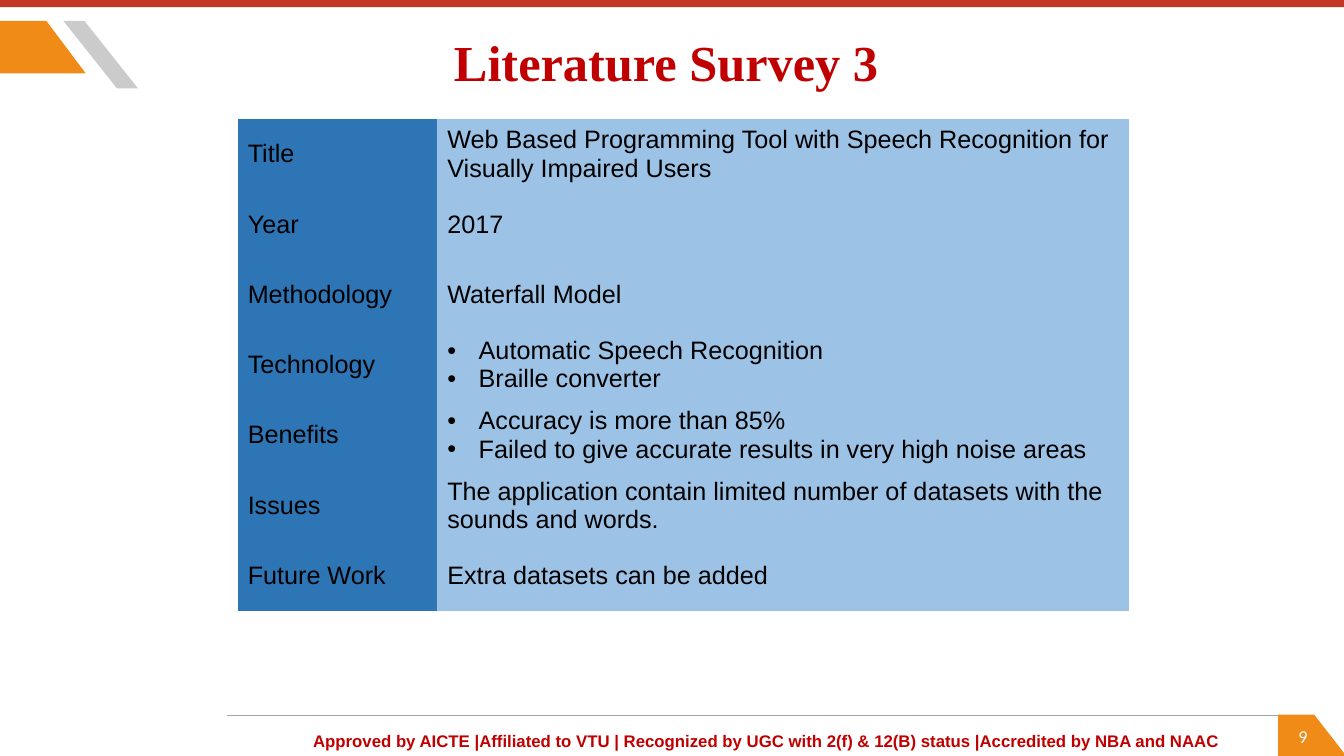
from dataclasses import dataclass

from lxml import etree
from pptx import Presentation
from pptx.dml.color import RGBColor
from pptx.enum.shapes import MSO_CONNECTOR, MSO_SHAPE
from pptx.enum.text import MSO_ANCHOR, MSO_AUTO_SIZE, PP_ALIGN
from pptx.oxml.ns import qn
from pptx.util import Cm, Pt

CENTER, LEFT = PP_ALIGN.CENTER, PP_ALIGN.LEFT
TOP, MIDDLE = MSO_ANCHOR.TOP, MSO_ANCHOR.MIDDLE
NO_AUTOFIT = MSO_AUTO_SIZE.NONE
RECTANGLE, STRAIGHT = MSO_SHAPE.RECTANGLE, MSO_CONNECTOR.STRAIGHT
PLAIN_TABLE_STYLE = "{2D5ABB26-0587-4C30-8999-92F81FD0307C}"

# Content: a list in the second column becomes bullets
TITLE = "Literature Survey 3"
SURVEY = [
    ("Title", "Web Based Programming Tool with Speech Recognition for Visually Impaired Users"),
    ("Year", "2017"),
    ("Methodology", "Waterfall Model"),
    ("Technology", ["Automatic Speech Recognition", "Braille converter"]),
    ("Benefits", ["Accuracy is more than 85%",
                  "Failed to give accurate results in very high noise areas"]),
    ("Issues", "The application contain limited number of datasets with the sounds and words."),
    ("Future Work", "Extra datasets can be added"),
]
FOOTER = ("Approved by AICTE |Affiliated to VTU | Recognized by UGC with 2(f) & 12(B) status "
          "|Accredited by NBA and NAAC")
PAGE = "9"


@dataclass(frozen=True)
class Theme:
    bar: str = "C43727"
    accent: str = "F18B17"
    stripe: str = "7F7F7F"
    rule: str = "A5A5A5"
    label_fill: str = "2E75B5"
    value_fill: str = "9CC2E5"
    heading: tuple = ("Times New Roman", 36, True, "C00000")
    body: tuple = ("Arial", 18, False, "000000")
    footer: tuple = ("Arial", 12, True, "C00000")
    page: tuple = ("Calibri", 13, False, "FFFFFF")


THEME = Theme()

# Layout in centimetres
SLIDE_W, SLIDE_H = 33.87, 19.05
BAR_H = 0.18
TITLE_BOX = (5.13, 0.66, 23.32, 1.8)
FOOTER_BOX = (6.91, 18.29, 24.82, 0.76)
PAGE_BOX = (32.28, 18.14, 1.12, 1.02)
TABLE_LEFT, TABLE_TOP = 5.99, 3.0
COLUMNS = (5.03, 17.42)
ROW_H = 1.77
BULLET_INDENT = 0.79
RULE_LEFT, RULE_RIGHT, RULE_Y = 5.72, 32.21, 18.03
ORNAMENTS = [  # points, colour, opacity in percent
    ([(1.17, 0.53), (0, 0.53), (0, 1.85), (2.16, 1.85)], THEME.accent, 100),
    ([(2.13, 0.53), (1.6, 0.53), (2.95, 2.23), (3.48, 2.23)], THEME.stripe, 40),
    ([(33.12, 18.01), (32.21, 18.01), (32.21, SLIDE_H), (33.93, SLIDE_H)], THEME.accent, 100),
]


def cm(values):
    return [Cm(v) for v in values]


def paint(fill, color):
    fill.solid()
    fill.fore_color.rgb = RGBColor.from_string(color)


def paint_shape(s, color, opacity=100):
    paint(s.fill, color)
    s.line.fill.background()
    s.shadow.inherit = False
    if opacity < 100:
        rgb = s.element.spPr.find(qn("a:solidFill")).find(qn("a:srgbClr"))
        etree.SubElement(rgb, qn("a:alpha")).set("val", str(opacity * 1000))


def write(p, text, style, align):
    name, size, bold, color = style
    p.alignment = align
    r = p.add_run()
    r.text = text
    for key, value in {"name": name, "size": Pt(size), "bold": bold}.items():
        setattr(r.font, key, value)
    r.font.color.rgb = RGBColor.from_string(color)


def add_bullet(p):
    pPr = p._p.get_or_add_pPr()
    pPr.set("marL", str(Cm(BULLET_INDENT)))
    pPr.set("indent", str(-Cm(BULLET_INDENT)))
    etree.SubElement(pPr, qn("a:buFont")).set("typeface", "Arial")
    etree.SubElement(pPr, qn("a:buChar")).set("char", "•")


def fill_frame(tf, text, style, anchor):
    frame_format = {"word_wrap": True, "auto_size": NO_AUTOFIT, "vertical_anchor": anchor}
    for key, value in frame_format.items():
        setattr(tf, key, value)
    write(tf.paragraphs[0], text, style, CENTER)


def add_decoration(shapes):
    rule = shapes.add_connector(STRAIGHT, *cm((RULE_RIGHT, RULE_Y, RULE_LEFT, RULE_Y)))
    rule.line.color.rgb = RGBColor.from_string(THEME.rule)
    rule.line.width = Pt(1)
    etree.SubElement(rule.element.spPr, qn("a:effectLst"))

    bar = shapes.add_shape(RECTANGLE, *cm((0, 0, SLIDE_W, BAR_H)))
    paint_shape(bar, THEME.bar)
    for points, color, opacity in ORNAMENTS:
        start, *rest = [cm(point) for point in points]
        outline = shapes.build_freeform(*start)
        outline.add_line_segments(rest, close=True)
        paint_shape(outline.convert_to_shape(), color, opacity)


def add_survey(shapes):
    size = (sum(COLUMNS), ROW_H * len(SURVEY))
    frame = shapes.add_table(len(SURVEY), len(COLUMNS), *cm((TABLE_LEFT, TABLE_TOP, *size)))
    table = frame.table
    table.first_row = table.horz_banding = False
    for style_id in frame.element.iter(qn("a:tableStyleId")):
        style_id.text = PLAIN_TABLE_STYLE
    for column, width in zip(table.columns, COLUMNS):
        column.width = Cm(width)
    for row, entry in zip(table.rows, SURVEY):
        row.height = Cm(ROW_H)
        for cell, value, color in zip(row.cells, entry, (THEME.label_fill, THEME.value_fill)):
            paint(cell.fill, color)
            cell.vertical_anchor = MIDDLE
            bulleted = isinstance(value, list)
            for i, line in enumerate(value if bulleted else [value]):
                tf = cell.text_frame
                p = tf.add_paragraph() if i else tf.paragraphs[0]
                write(p, line, THEME.body, LEFT)
                if bulleted:
                    add_bullet(p)


def main():
    prs = Presentation()
    prs.slide_width, prs.slide_height = cm((SLIDE_W, SLIDE_H))
    slide = prs.slides.add_slide(prs.slide_layouts[5])
    shapes = slide.shapes

    # Bars, corner ornaments and footer rule
    add_decoration(shapes)

    # Title
    title = shapes.title
    title.left, title.top, title.width, title.height = cm(TITLE_BOX)
    fill_frame(title.text_frame, TITLE, THEME.heading, TOP)

    # Survey table
    add_survey(shapes)

    # Footer and page number
    for box, text, style, anchor in [(FOOTER_BOX, FOOTER, THEME.footer, MIDDLE),
                                     (PAGE_BOX, PAGE, THEME.page, TOP)]:
        fill_frame(shapes.add_textbox(*cm(box)).text_frame, text, style, anchor)

    prs.save("out.pptx")


if __name__ == "__main__":
    main()
